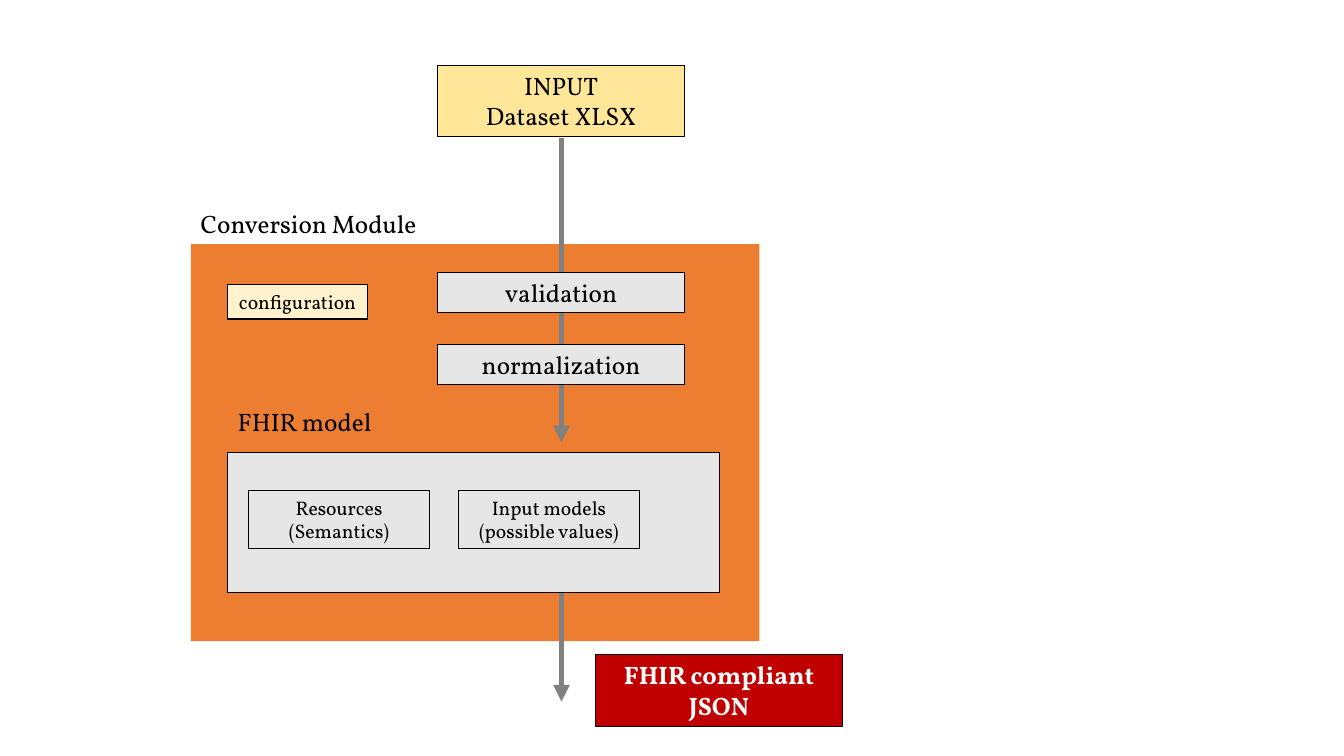
from lxml import etree
from pptx import Presentation
from pptx.dml.color import RGBColor
from pptx.enum.shapes import MSO_CONNECTOR, MSO_SHAPE
from pptx.enum.text import MSO_ANCHOR, MSO_AUTO_SIZE, PP_ALIGN
from pptx.oxml.ns import qn
from pptx.util import Cm, Pt

RECTANGLE = MSO_SHAPE.RECTANGLE
STRAIGHT = MSO_CONNECTOR.STRAIGHT
LEFT, CENTER = PP_ALIGN.LEFT, PP_ALIGN.CENTER
TOP = MSO_ANCHOR.TOP
GROW = MSO_AUTO_SIZE.SHAPE_TO_FIT_TEXT

BLACK = RGBColor(0x00, 0x00, 0x00)
WHITE = RGBColor(0xFF, 0xFF, 0xFF)
ORANGE = RGBColor(0xED, 0x7D, 0x31)
YELLOW = RGBColor(0xFF, 0xE6, 0x99)
CREAM = RGBColor(0xFF, 0xF2, 0xCC)
LIGHT_GRAY = RGBColor(0xE7, 0xE6, 0xE6)
ARROW_GRAY = RGBColor(0x80, 0x80, 0x80)
RED = RGBColor(0xC0, 0x00, 0x00)

FONT = "Vollkorn"
STEP_WIDTH, STEP_HEIGHT = 6.22, 1.02
END_HEIGHT = 1.8
STEP_LEFT = 11.03
FLOW_X = 14.15
MODEL_LEFT = 5.74
PART_TOP, PART_WIDTH, PART_HEIGHT = 12.37, 4.55, 1.45


def write_text(shape, lines, size, color, alignment, bold=False):
    """Fill a shape with one paragraph per line."""
    frame = shape.text_frame
    frame.word_wrap = True
    frame.auto_size = GROW
    frame.vertical_anchor = TOP
    for index, line in enumerate(lines):
        paragraph = frame.add_paragraph() if index else frame.paragraphs[0]
        paragraph.alignment = alignment
        run = paragraph.add_run()
        run.text = line
        run.font.name = FONT
        run.font.size = Pt(size)
        run.font.bold = bold
        run.font.color.rgb = color


def add_panel(slide, left, top, width, height, fill, outlined=True):
    """Add a plain filled rectangle and return it."""
    panel = slide.shapes.add_shape(RECTANGLE, Cm(left), Cm(top), Cm(width), Cm(height))
    panel.shadow.inherit = False
    panel.fill.solid()
    panel.fill.fore_color.rgb = fill
    if outlined:
        panel.line.color.rgb = BLACK
        panel.line.width = Pt(0.75)
    else:
        panel.line.fill.background()
    return panel


def add_box(slide, left, top, width, height, fill, lines, size=18, color=BLACK, bold=False):
    """Add an outlined rectangle with centred text."""
    box = add_panel(slide, left, top, width, height, fill)
    write_text(box, lines, size, color, CENTER, bold)


def add_heading(slide, left, top, text):
    """Add a heading above a panel."""
    heading = slide.shapes.add_textbox(Cm(left), Cm(top), Cm(STEP_WIDTH), Cm(STEP_HEIGHT))
    write_text(heading, [text], 18, BLACK, LEFT)


def add_flow_arrow(slide, top, bottom):
    """Add a downward arrow on the flow axis."""
    arrow = slide.shapes.add_connector(STRAIGHT, Cm(FLOW_X), Cm(top), Cm(FLOW_X), Cm(bottom))
    arrow.line.color.rgb = ARROW_GRAY
    arrow.line.width = Pt(4)
    etree.SubElement(arrow.line._get_or_add_ln(), qn("a:tailEnd"), type="triangle")
    etree.SubElement(arrow._element.spPr, qn("a:effectLst"))


def main():
    """Build the conversion flow slide."""
    presentation = Presentation()
    presentation.slide_width = Cm(33.87)
    presentation.slide_height = Cm(19.05)
    slide = presentation.slides.add_slide(presentation.slide_layouts[6])

    add_panel(slide, 4.81, 6.15, 14.33, 10.01, ORANGE, outlined=False)
    add_heading(slide, 4.81, 5.13, "Conversion Module")
    add_box(slide, STEP_LEFT, 1.65, STEP_WIDTH, END_HEIGHT, YELLOW, ["INPUT", "Dataset XLSX"])
    add_flow_arrow(slide, 3.48, 11.15)
    for top, step in ((6.86, "validation"), (8.67, "normalization")):
        add_box(slide, STEP_LEFT, top, STEP_WIDTH, STEP_HEIGHT, LIGHT_GRAY, [step])

    add_panel(slide, MODEL_LEFT, 11.4, 12.4, 3.53, LIGHT_GRAY)
    add_heading(slide, MODEL_LEFT, 10.11, "FHIR model")
    for left, part in ((6.27, "Resources (Semantics)"), (11.56, "Input models (possible values)")):
        add_box(slide, left, PART_TOP, PART_WIDTH, PART_HEIGHT, LIGHT_GRAY, [part], size=14)
    add_box(slide, MODEL_LEFT, 7.18, 3.52, 0.86, CREAM, ["configuration"], size=14)

    add_flow_arrow(slide, 14.94, 17.68)
    add_box(slide, 15.01, 16.5, STEP_WIDTH, END_HEIGHT, RED, ["FHIR compliant JSON"],
            color=WHITE, bold=True)

    presentation.save("out.pptx")


if __name__ == "__main__":
    main()
